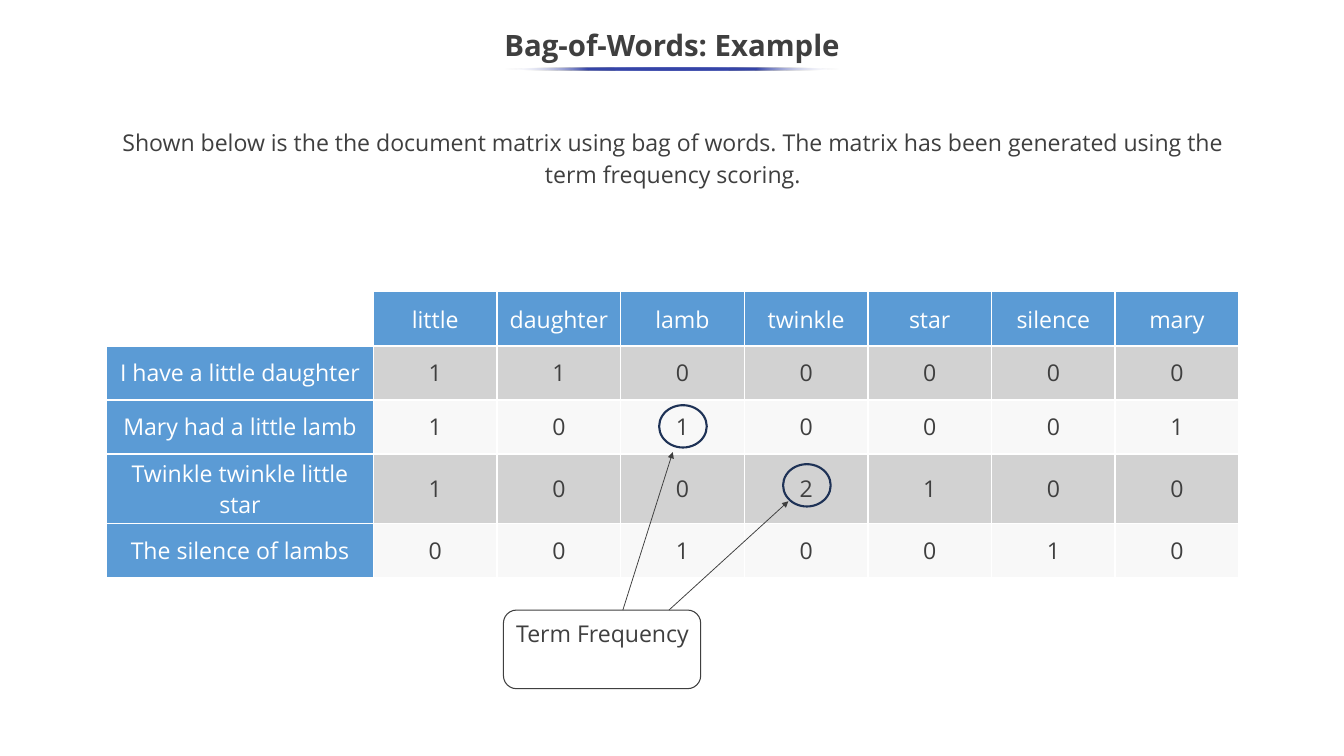
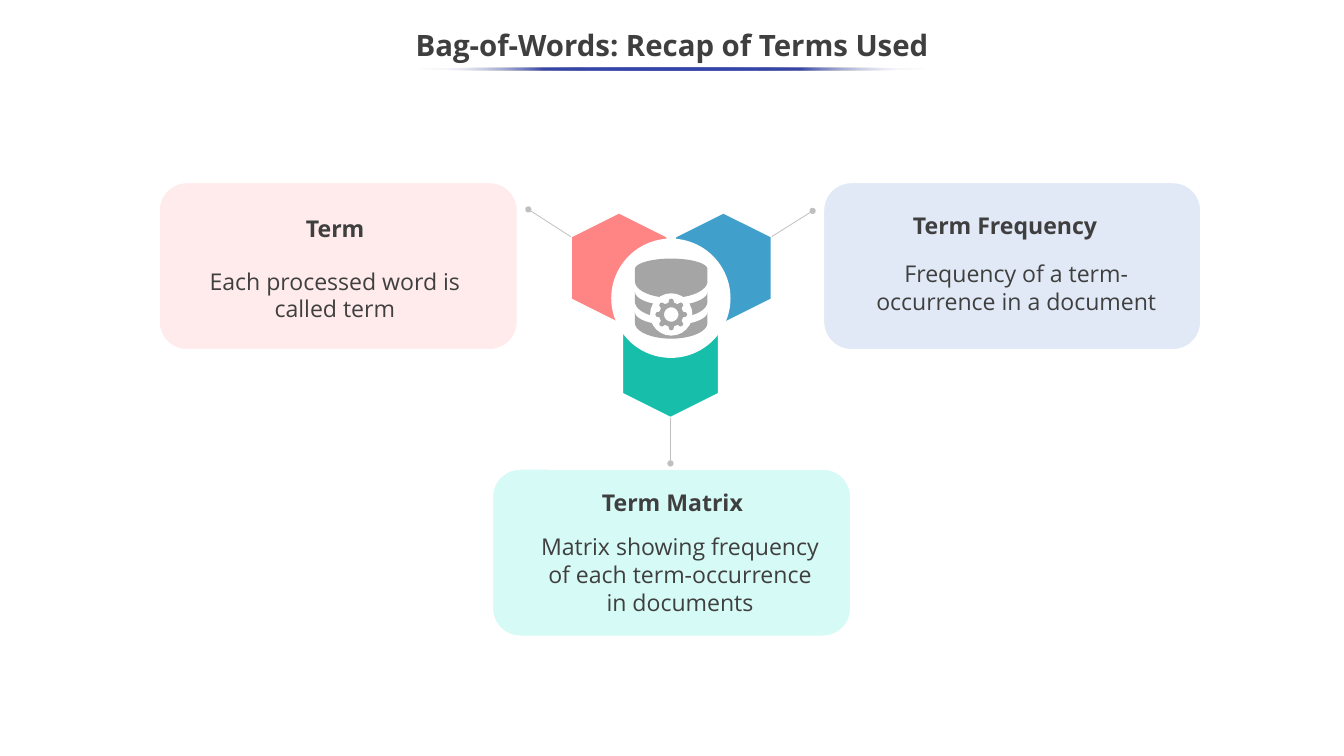
import math
from collections import namedtuple
from lxml import etree
from pptx import Presentation, util as u
from pptx.dml.color import RGBColor
from pptx.enum import shapes as sh, text as tx
from pptx.oxml import parse_xml
from pptx.oxml.ns import nsdecls, qn

# Shared look; 100 px to the inch
PX = 9144
WIDE, HIGH = 1778, 1000
FONT = "Open Sans"
INK, WHITE, BLUE, BAR = "3F3F3F", "FFFFFF", "5B9BD5", "3645A9"
NAVY, WIRE, ICON = "1E3256", "BFBFBF", "A5A5A5"
BANDS = ("D2D2D2", "F8F8F8")
BOX, OVAL = sh.MSO_SHAPE.ROUNDED_RECTANGLE, sh.MSO_SHAPE.OVAL

# Slide 1 content
INTRO = ("Shown below is the the document matrix using bag of words. "
         "The matrix has been generated using the term frequency scoring.")
WORDS = ["little", "daughter", "lamb", "twinkle", "star", "silence", "mary"]
DOCS = [
    ("I have a little daughter", (1, 1, 0, 0, 0, 0, 0)),
    ("Mary had a little lamb", (1, 0, 1, 0, 0, 0, 1)),
    ("Twinkle twinkle little star", (1, 0, 0, 2, 1, 0, 0)),
    ("The silence of lambs", (0, 0, 1, 0, 0, 1, 0)),
]
GRID = (141, 386, 1498, 378)
SIDE = 353              # width of the column of sentences
TALL, TALL_ROW = 92, 3  # the row whose sentence takes two lines
RINGS = [(872, 536), (1036, 614)]
ARROWS = [(824, 807, 890, 598), (885, 807, 1043, 663)]

# Slide 2 content: boxes are left, top, width, height
Card = namedtuple("Card", "panel fill alpha head head_box pads body body_box")
CARDS = [
    Card((210, 241, 475, 222), "FFAFAF", 24,
         "Term", (287, 277, 303, 47), (10, 5, 0, 5),
         "Each processed word is called term", (234, 344, 418, 92)),
    Card((1089, 241, 500, 222), "D8E2F3", 75,
         "Term Frequency", (1148, 272, 373, 47), (0, 5, 10, 5),
         "Frequency of a term-occurrence in a document", (1126, 334, 437, 84)),
    Card((651, 620, 475, 222), "ADF5EC", 49,
         "Term Matrix", (723, 639, 343, 47), (0, 5, 10, 5),
         "Matrix showing frequency of each term-occurrence in documents",
         (709, 694, 381, 121)),
]
# Corners run clockwise from the top; the wire leaves one by its reach
CORNERS = [(0, 0), (64, 32), (64, 115), (0, 147), (-64, 115), (-64, 32)]
RIGHT_TOP, FOOT, LEFT_TOP = 1, 3, 5
Hexagon = namedtuple("Hexagon", "top fill corner reach")
HEXES = [
    Hexagon((819, 281), "FF8585", LEFT_TOP, (-56, -36)),
    Hexagon((957, 281), "41A0CB", RIGHT_TOP, (54, -34)),
    Hexagon((887, 406), "17BFAB", FOOT, (0, 60)),
]
# Database drum: slices between two sagging edges, a gear in front
DISC = (810, 317, 155, 155)
DRUM_MID, DRUM_HALF = 888, 48
Slice = namedtuple("Slice", "top top_sag low low_sag")
SLICES = [Slice(356, -14, 372, 22), Slice(386, 18, 399, 22),
          Slice(413, 17, 427, 21)]
GEAR_MID, HALO, HOLE = (888, 416), 28, 9.5
TOOTH = [(16, -0.3), (20, -0.17), (21, 0), (20, 0.17), (16, 0.3)]  # radius, turn


def emu(*vals):
    return [round(v * PX) for v in vals]


def rgb(code):
    return RGBColor.from_string(code)


def paint(shape, fill=None, line=None, width=1, alpha=None):
    """Set fill and outline, with no shadow."""
    shape.shadow.inherit = False
    if fill:
        shape.fill.solid()
        shape.fill.fore_color.rgb = rgb(fill)
        if alpha:
            tint = shape._element.spPr.find(".//" + qn("a:srgbClr"))
            etree.SubElement(tint, qn("a:alpha")).set("val", str(alpha * 1000))
    else:
        shape.fill.background()
    if line:
        shape.line.color.rgb = rgb(line)
        shape.line.width = u.Pt(width)
    else:
        shape.line.fill.background()
    return shape


def form(slide, kind, at, *look, **more):
    return paint(slide.shapes.add_shape(kind, *emu(*at)), *look, **more)


def put(para, words, color=INK, size=22, bold=False, lead=None):
    """Add one centred run to a paragraph."""
    para.alignment = tx.PP_ALIGN.CENTER
    if lead:
        para.line_spacing = lead
    run = para.add_run()
    run.text = words
    font = run.font
    font.name, font.size, font.bold = FONT, u.Pt(size), bold
    font.color.rgb = rgb(color)


def pad(part, sides):
    """Set the left, top, right and bottom margins of a frame or cell."""
    (part.margin_left, part.margin_top,
     part.margin_right, part.margin_bottom) = emu(*sides)


def write(shape, words, pads=(10, 5, 10, 5), mid=False, **look):
    frame = shape.text_frame
    frame.word_wrap = True
    frame.vertical_anchor = tx.MSO_ANCHOR.MIDDLE if mid else tx.MSO_ANCHOR.TOP
    pad(frame, pads)
    put(frame.paragraphs[0], words, **look)


def label(slide, at, words, **look):
    write(slide.shapes.add_textbox(*emu(*at)), words, **look)


def wire(slide, ends, color, tip):
    conn = slide.shapes.add_connector(sh.MSO_CONNECTOR.STRAIGHT, *emu(*ends))
    conn.line.color.rgb = rgb(color)
    conn.line.width = u.Pt(0.75)
    props = conn._element.spPr
    etree.SubElement(props.find(qn("a:ln")), qn("a:tailEnd")).set("type", tip)
    etree.SubElement(props, qn("a:effectLst"))


def outline(slide, loops, *look):
    """Draw closed loops of points as one freeform."""
    first, *rest = [[tuple(emu(*p)) for p in loop] for loop in loops]
    build = slide.shapes.build_freeform(*first[0], scale=1.0)
    build.add_line_segments(first[1:], close=True)
    for loop in rest:
        build.move_to(*loop[0])
        build.add_line_segments(loop[1:], close=True)
    return paint(build.convert_to_shape(), *look)


def start(deck, title):
    slide = deck.slides.add_slide(deck.slide_layouts[6])
    label(slide, (0, 25, WIDE, 75), title, mid=True, size=28, bold=True, lead=0.9)
    return slide


def underline(slide, wide):
    """Bar below the title that fades at both ends."""
    bar = form(slide, OVAL, ((WIDE - wide) / 2, 89, wide, 4))
    fade = [(0, WHITE, 0), (25, BAR, 100), (50, BAR, 100), (75, BAR, 100),
            (100, WHITE, 0)]
    stops = "".join(
        f'<a:gs pos="{pos * 1000}"><a:srgbClr val="{code}">'
        f'<a:alpha val="{alpha * 1000}"/></a:srgbClr></a:gs>'
        for pos, code, alpha in fade)
    grad = parse_xml(f'<a:gradFill {nsdecls("a")} rotWithShape="1"><a:gsLst>{stops}'
                     '</a:gsLst><a:lin ang="10800000" scaled="0"/></a:gradFill>')
    props = bar._element.spPr
    props.replace(props.find(qn("a:noFill")), grad)


def border(cell):
    props = cell._tc.get_or_add_tcPr()
    for side in ("lnL", "lnR", "lnT", "lnB"):
        props.append(parse_xml(
            f'<a:{side} {nsdecls("a")} w="{u.Pt(1.5)}"><a:solidFill>'
            f'<a:srgbClr val="{WHITE}"/></a:solidFill></a:{side}>'))


def matrix(slide):
    """Count of each word in each sentence."""
    rows = [["", *WORDS]] + [[doc, *map(str, nums)] for doc, nums in DOCS]
    wide, high = GRID[2:]
    table = slide.shapes.add_table(len(rows), len(rows[0]), *emu(*GRID)).table
    table.first_row = table.horz_banding = False
    for n, col in enumerate(table.columns):
        col.width = emu((wide - SIDE) / len(WORDS) if n else SIDE)[0]
    for r, row in enumerate(rows):
        even = (high - TALL) / (len(rows) - 1)
        table.rows[r].height = emu(TALL if r == TALL_ROW else even)[0]
        for c, words in enumerate(row):
            cell = table.cell(r, c)
            border(cell)
            if not words:
                cell.fill.background()
                continue
            head = r == 0 or c == 0
            cell.fill.solid()
            cell.fill.fore_color.rgb = rgb(BLUE if head else BANDS[(r - 1) % 2])
            cell.vertical_anchor = tx.MSO_ANCHOR.MIDDLE
            pad(cell, (10, 5, 10, 5) if r else (1, 1, 1, 0))
            put(cell.text_frame.paragraphs[0], words, WHITE if head else INK)


def hexagon(slide, item):
    """Hexagon with a wire from one corner to its card."""
    x, y = item.top
    ring = [(x + dx, y + dy) for dx, dy in CORNERS]
    outline(slide, [ring], item.fill, WHITE, 2)
    (cx, cy), (dx, dy) = ring[item.corner], item.reach
    wire(slide, (cx, cy, cx + dx, cy + dy), WIRE, "oval")


def edge(y, sag, steps=24):
    """Half an ellipse across the drum, left to right."""
    turns = [math.pi * k / steps for k in range(steps + 1)]
    return [(DRUM_MID - DRUM_HALF * math.cos(t), y + sag * math.sin(t))
            for t in turns]


def polar(rad, turn):
    """Point around the middle of the gear."""
    x, y = GEAR_MID
    return x + rad * math.cos(turn), y + rad * math.sin(turn)


def gear(teeth=8, steps=32):
    step = math.tau / teeth
    rim = [polar(rad, (k + turn) * step)
           for k in range(teeth) for rad, turn in TOOTH]
    hole = [polar(HOLE, -k * math.tau / steps) for k in range(steps)]
    return [rim, hole]


def database(slide):
    form(slide, OVAL, DISC, WHITE, WHITE, 2)
    for part in SLICES:
        upper = edge(part.top, part.top_sag)
        lower = edge(part.low, part.low_sag)
        outline(slide, [upper + lower[::-1]], ICON)
    x, y = GEAR_MID
    form(slide, OVAL, (x - HALO, y - HALO, 2 * HALO, 2 * HALO), WHITE)
    outline(slide, gear(), ICON)


def example(deck):
    slide = start(deck, "Bag-of-Words: Example")
    matrix(slide)
    label(slide, (141, 165, 1498, 99), INTRO, pads=(10, 0, 10, 0), lead=1.14)
    # Callout to the circled counts
    for ends in ARROWS:
        wire(slide, ends, INK, "triangle")
    label(slide, (671, 814, 252, 84), "Term Frequency")
    form(slide, BOX, (666, 807, 261, 104), None, INK)
    underline(slide, 444)
    for x, y in RINGS:
        form(slide, OVAL, (x, y, 63, 56), None, NAVY, 2)


def recap(deck):
    slide = start(deck, "Bag-of-Words: Recap of Terms Used")
    for card in CARDS:
        form(slide, BOX, card.panel, card.fill, WHITE, 2, alpha=card.alpha)
        write(form(slide, BOX, card.head_box), card.head, card.pads, bold=True)
        write(form(slide, BOX, card.body_box), card.body, (0, 5, 0, 5))
    for item in HEXES:
        hexagon(slide, item)
    database(slide)
    underline(slide, 673)


def main():
    deck = Presentation()
    deck.slide_width, deck.slide_height = emu(WIDE, HIGH)
    example(deck)
    recap(deck)
    deck.save("out.pptx")


if __name__ == "__main__":
    main()
